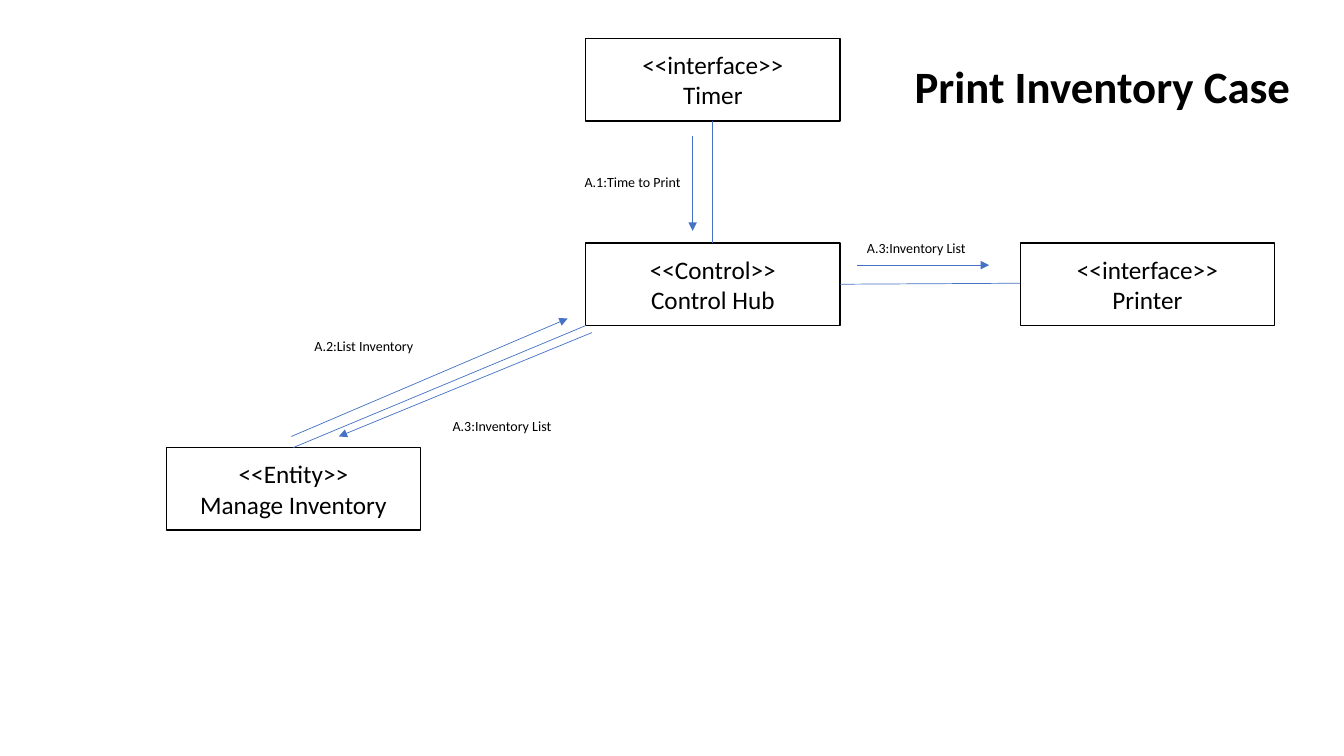
from lxml import etree
from pptx import Presentation
from pptx.dml.color import RGBColor
from pptx.enum.shapes import MSO_CONNECTOR, MSO_SHAPE
from pptx.enum.text import MSO_ANCHOR, MSO_AUTO_SIZE, PP_ALIGN
from pptx.oxml import parse_xml
from pptx.oxml.ns import nsdecls, qn
from pptx.util import Inches, Pt

RECTANGLE = MSO_SHAPE.RECTANGLE
STRAIGHT = MSO_CONNECTOR.STRAIGHT
MIDDLE = MSO_ANCHOR.MIDDLE
FIT_SHAPE = MSO_AUTO_SIZE.SHAPE_TO_FIT_TEXT
LEFT, CENTER = PP_ALIGN.LEFT, PP_ALIGN.CENTER

BLACK = RGBColor(0x00, 0x00, 0x00)
WHITE = RGBColor(0xFF, 0xFF, 0xFF)
BLUE = RGBColor(0x44, 0x72, 0xC4)
FONT = "Calibri"

# Grid in inches: three columns and three evenly spaced rows of boxes
COLUMNS = (1.65, 5.81, 10.12)
ROWS = [0.38 + 2.03 * row for row in range(3)]
BOX_WIDTH, BOX_HEIGHT = 2.52, 0.82
LABEL_HEIGHT = 0.27

deck = Presentation()
deck.slide_width, deck.slide_height = Inches(13.33), Inches(7.5)
page = deck.slides.add_slide(deck.slide_layouts[6])


def write_lines(frame, lines, size, align, bold=False):
    for index, line in enumerate(lines):
        para = frame.paragraphs[0] if index == 0 else frame.add_paragraph()
        para.alignment = align
        span = para.add_run()
        span.text = line
        span.font.name = FONT
        span.font.size = Pt(size)
        span.font.bold = bold
        span.font.color.rgb = BLACK


def add_text(text, left, top, width, height, size, align=LEFT, bold=False):
    box = page.shapes.add_textbox(*map(Inches, (left, top, width, height)))
    box.text_frame.word_wrap = True
    box.text_frame.auto_size = FIT_SHAPE
    write_lines(box.text_frame, [text], size, align, bold)
    return box


# Objects of the diagram: column, row, stereotype, name
objects = (
    (1, 0, "<<interface>>", "Timer"),
    (1, 1, "<<Control>>", "Control Hub"),
    (0, 2, "<<Entity>>", "Manage Inventory"),
    (2, 1, "<<interface>>", "Printer"),
)
for column, row, stereotype, name in objects:
    box = page.shapes.add_shape(
        RECTANGLE, Inches(COLUMNS[column]), Inches(ROWS[row]),
        Inches(BOX_WIDTH), Inches(BOX_HEIGHT))
    box.shadow.inherit = False
    box.fill.solid()
    box.fill.fore_color.rgb = WHITE
    box.line.color.rgb = BLACK
    box.line.width = Pt(1)
    box.text_frame.word_wrap = True
    box.text_frame.vertical_anchor = MIDDLE
    write_lines(box.text_frame, (stereotype, name), 18, CENTER)

# Links between objects and message arrows: start, end, has arrowhead
hub_left, hub_top = COLUMNS[1], ROWS[1]
hub_center = hub_left + BOX_WIDTH / 2
hub_right = hub_left + BOX_WIDTH
hub_middle = hub_top + BOX_HEIGHT / 2
hub_bottom = hub_top + BOX_HEIGHT
entity_center = COLUMNS[0] + BOX_WIDTH / 2
lines = (
    ((hub_center, ROWS[0] + BOX_HEIGHT), (hub_center, hub_top), False),
    ((entity_center, ROWS[2]), (hub_left, hub_bottom), False),
    ((COLUMNS[2], hub_middle - 0.01), (hub_right, hub_middle), False),
    ((6.87, 1.35), (6.87, 2.29), True),
    ((2.89, 4.33), (5.63, 3.16), True),
    ((5.87, 3.3), (3.36, 4.33), True),
    ((8.5, 2.63), (9.81, 2.63), True),
)
for start, end, has_arrowhead in lines:
    link = page.shapes.add_connector(STRAIGHT, *map(Inches, start + end))
    link.line.color.rgb = BLUE
    link.line.width = Pt(0.5)
    if has_arrowhead:
        etree.SubElement(link.line._get_or_add_ln(), qn("a:tailEnd"), type="triangle")
    etree.SubElement(link._element.spPr, qn("a:effectLst"))

# Message labels: text, left, top, width
labels = (
    ("A.1:Time to Print", 5.7, 1.67, 1.16),
    ("A.2:List Inventory", 3.02, 3.3, 1.29),
    ("A.3:Inventory List", 4.39, 4.09, 1.29),
    ("A.3:Inventory List", 8.5, 2.33, 1.29),
)
for text, left, top, width in labels:
    add_text(text, left, top, width, LABEL_HEIGHT, 10)

# Title with a thin white letter outline
title = add_text("Print Inventory Case", 8.46, 0.53, 4.95, 0.64, 32, CENTER, True)
outline = parse_xml(
    f'<a:ln {nsdecls("a")} w="{Pt(0.75)}"><a:solidFill>'
    f'<a:srgbClr val="{WHITE}"/></a:solidFill></a:ln>')
title.text_frame.paragraphs[0].runs[0].font._element.insert(0, outline)

deck.save("out.pptx")
